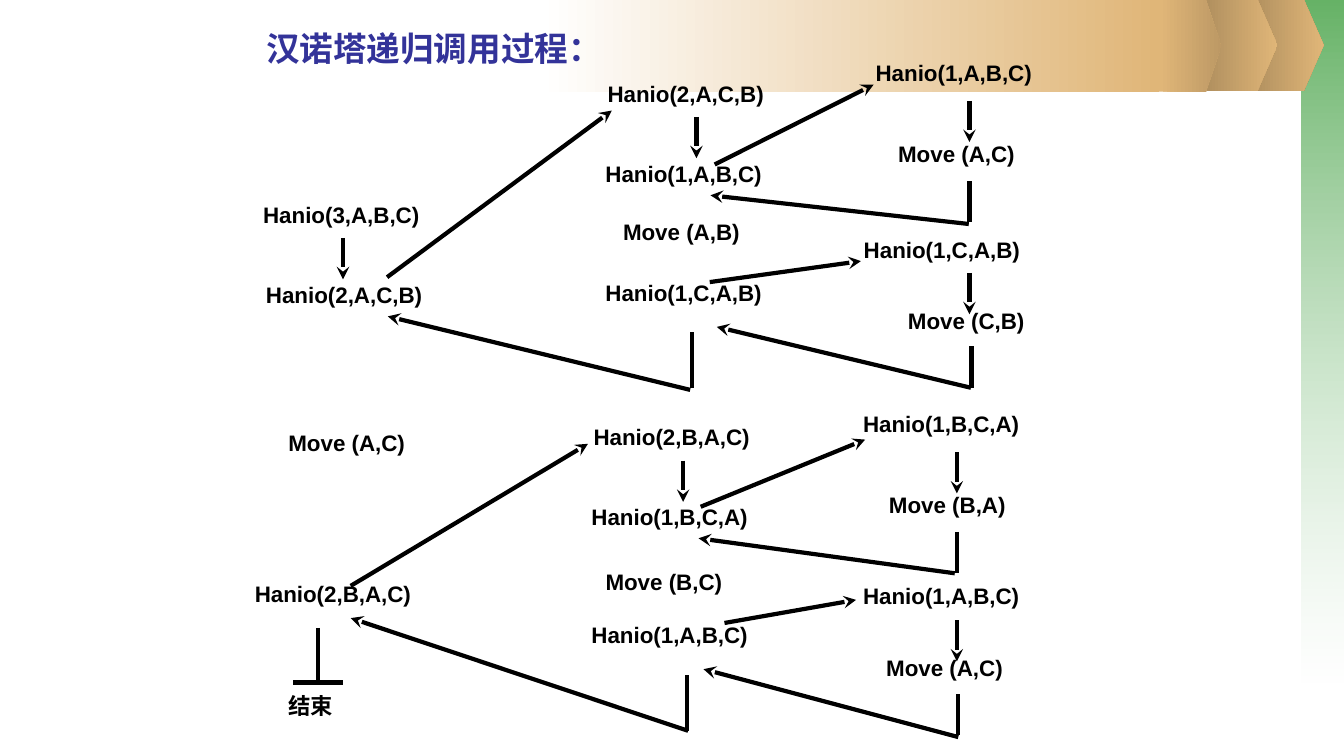
from dataclasses import dataclass

from pptx import Presentation
from pptx import util as u
from pptx.dml import color
from pptx.enum import shapes, text
from pptx.oxml import ns, xmlchemy

BLACK = "000000"
TITLE_BLUE = "333399"
GOLD = "E0B678"
BRONZE = "AB8B5C"
STEP = 29.5


@dataclass
class Band:
    preset: shapes.MSO_SHAPE
    left: float
    top: float
    width: float
    height: float
    stops: tuple[str, str]
    angle: int = 0
    opacity: tuple[int, int] = (100, 100)


@dataclass
class Label:
    wording: str
    left: float
    top: float
    width: float = 121.5
    height: float = 25
    size: int = 16
    hue: str = BLACK
    inset_left: float = 0
    inset_top: float = 0
    align: text.PP_ALIGN = text.PP_ALIGN.JUSTIFY


@dataclass
class Stroke:
    x1: float
    y1: float
    x2: float
    y2: float
    arrow: bool = True


def rgb(value: str) -> color.RGBColor:
    return color.RGBColor.from_string(value)


def apply(target, values: dict) -> None:
    for name, value in values.items():
        setattr(target, name, value)


def add_element(parent, tag: str, **attributes: str):
    element = xmlchemy.OxmlElement(tag)
    for name, value in attributes.items():
        element.set(name, value)
    parent.append(element)
    return element


def draw_band(page, band: Band) -> None:
    shape = page.shapes.add_shape(
        band.preset, u.Pt(band.left), u.Pt(band.top), u.Pt(band.width), u.Pt(band.height))
    shape.shadow.inherit = False
    shape.line.fill.background()
    if band.preset == shapes.MSO_SHAPE.PENTAGON:
        shape.adjustments[0] = 0.25
    shape.fill.gradient()
    shape.fill.gradient_angle = band.angle
    for stop, hue in zip(shape.fill.gradient_stops, band.stops):
        stop.color.rgb = rgb(hue)
    fills = shape._element.spPr.iter(ns.qn("a:srgbClr"))
    for fill, opacity in zip(fills, band.opacity):
        if opacity < 100:
            add_element(fill, "a:alpha", val=str(opacity * 1000))


def draw_label(page, label: Label) -> None:
    box = page.shapes.add_textbox(
        u.Pt(label.left), u.Pt(label.top), u.Pt(label.width), u.Pt(label.height))
    apply(box.text_frame, {
        "word_wrap": True,
        "margin_left": u.Pt(label.inset_left),
        "margin_top": u.Pt(label.inset_top),
        "margin_right": 0,
        "margin_bottom": 0,
    })
    para = box.text_frame.paragraphs[0]
    para.alignment = label.align
    span = para.add_run()
    span.text = label.wording
    apply(span.font, {"name": "Arial", "size": u.Pt(label.size), "bold": True})
    span.font.color.rgb = rgb(label.hue)


def draw_stroke(page, stroke: Stroke) -> None:
    line = page.shapes.add_connector(
        shapes.MSO_CONNECTOR.STRAIGHT,
        u.Pt(stroke.x1), u.Pt(stroke.y1), u.Pt(stroke.x2), u.Pt(stroke.y2))
    line.line.width = u.Pt(3)
    line.line.color.rgb = rgb(BLACK)
    if stroke.arrow:
        add_element(line.line._get_or_add_ln(), "a:tailEnd", type="stealth")
    add_element(line._element.spPr, "a:effectLst")


RECT = shapes.MSO_SHAPE.RECTANGLE
ARROW_BAND = shapes.MSO_SHAPE.PENTAGON
BANDS = [
    Band(RECT, 930, 0, 30, 487.5, ("339933", "FFFFFF"), 270, (75, 37)),
    Band(ARROW_BAND, 888.5, -0.5, 57, 65.5, (BRONZE, GOLD)),
    Band(ARROW_BAND, 855.5, -0.5, 57, 65.5, (BRONZE, GOLD)),
    Band(RECT, 386, 0, 442, 65.5, ("FFFFFF", GOLD)),
    Band(ARROW_BAND, 828, 0, 44.5, 65.5, (GOLD, "BD9965")),
]

CALLS = [
    ("3,A,B,C", 188, 143.5), ("2,A,C,B", 190, 201), ("2,B,A,C", 182, 414.5),
    ("2,A,C,B", 434, 57.5), ("1,A,B,C", 432.5, 114.5), ("1,C,A,B", 432.5, 199.5),
    ("2,B,A,C", 424, 302.5), ("1,B,C,A", 422.5, 359.5), ("1,A,B,C", 422.5, 444),
    ("1,A,B,C", 625.5, 42.5), ("1,C,A,B", 617, 168.5),
    ("1,B,C,A", 616.5, 293), ("1,A,B,C", 616.5, 416),
]
MOVES = [
    ("A,C", 206, 306.5), ("A,B", 445, 155.5), ("B,C", 432.5, 406),
    ("A,C", 641.5, 100), ("C,B", 648.5, 219.5), ("B,A", 635, 350.5), ("A,C", 633, 467.5),
]
LABELS = [
    *(Label(f"Hanio({disks})", x, y) for disks, x, y in CALLS),
    *(Label(f"Move ({pegs})", x, y, 104, 27) for pegs, x, y in MOVES),
    Label("结束", 206, 494.5, 46, 19.5, align=text.PP_ALIGN.LEFT),
    Label("汉诺塔递归调用过程：", 176.5, 16.5, 275, 36, 24, TITLE_BLUE, 13.5, 3.6,
          text.PP_ALIGN.LEFT),
]

STEPS_DOWN = [
    (245, 170), (497.5, 83.5), (692.5, 72), (692.5, 195),
    (488, 329), (683.5, 323), (683.5, 443),
]
STEPS_IN = [
    (276.5, 198, 437, 79), (510.5, 117.5, 624, 60.5), (507, 201.5, 615, 186.5),
    (250.5, 418.5, 420, 317), (500.5, 362, 618, 314), (517.5, 445, 611.5, 428.5),
]
STEPS_BACK = [
    (692, 160, 507.5, 139.5), (693.5, 277, 512, 233.5), (493, 278.5, 277, 226),
    (682, 409.5, 499, 384.5), (684.5, 526.5, 502.5, 478), (491.5, 522, 250.5, 441.5),
]
STEMS = [
    (692.5, 129.5, 158.5), (694, 247.5, 277), (494.5, 237.5, 277), (683.5, 380, 409.5),
    (684.5, 496, 525), (491, 482.5, 522), (227, 448.5, 487.5),
]
STROKES = [
    *(Stroke(x, y, x, y + STEP) for x, y in STEPS_DOWN),
    *(Stroke(*ends) for ends in STEPS_IN + STEPS_BACK),
    *(Stroke(x, top, x, bottom, False) for x, top, bottom in STEMS),
    Stroke(209.5, 487.5, 245, 487.5, False),
]


def main() -> None:
    deck = Presentation()
    apply(deck, {"slide_width": u.Pt(960), "slide_height": u.Pt(540)})
    page = deck.slides.add_slide(deck.slide_layouts[6])
    for draw, items in ((draw_band, BANDS), (draw_label, LABELS), (draw_stroke, STROKES)):
        for item in items:
            draw(page, item)
    deck.save("out.pptx")


if __name__ == "__main__":
    main()
